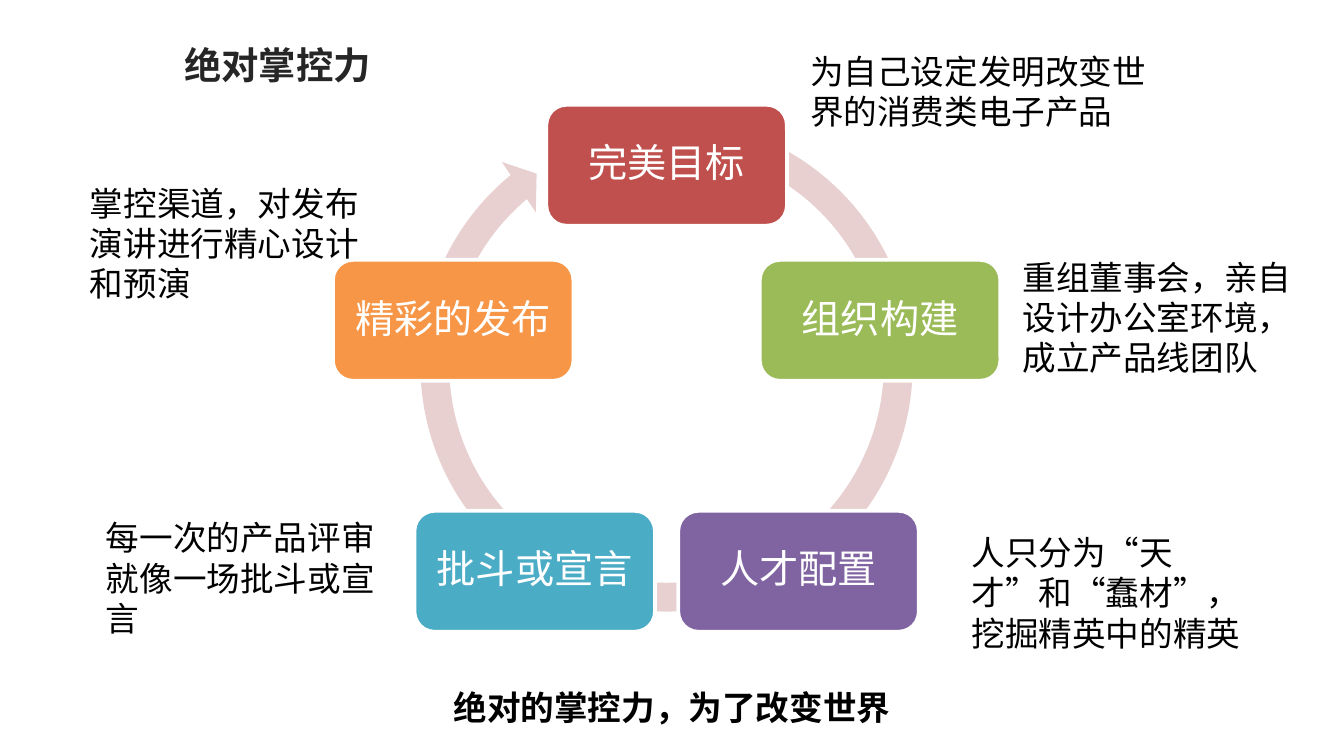
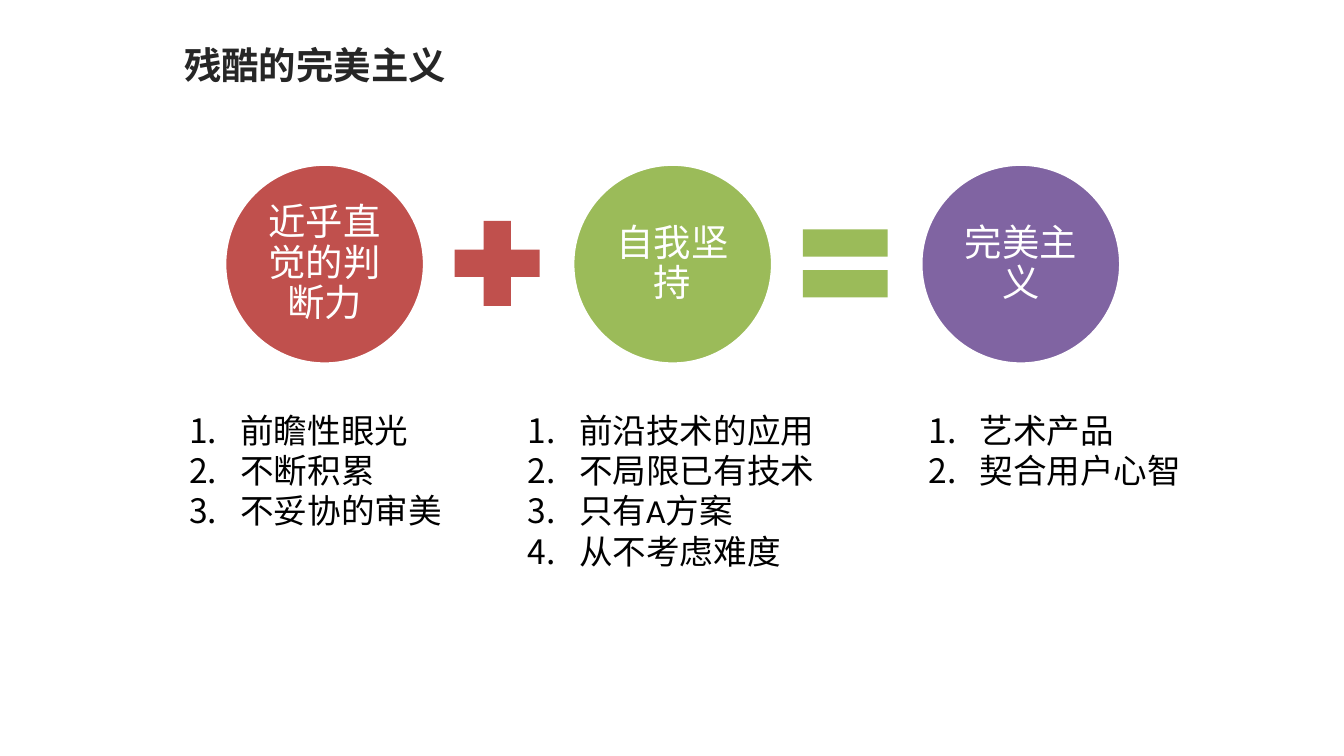
from math import cos, radians, sin

from lxml.etree import SubElement
from pptx import Presentation
from pptx.dml.color import RGBColor
from pptx.enum.shapes import MSO_SHAPE
from pptx.enum.text import MSO_ANCHOR, MSO_AUTO_SIZE, PP_ALIGN
from pptx.oxml.ns import qn
from pptx.util import Inches, Pt

COLORS = {
    "red": "C0504D",
    "green": "9BBB59",
    "purple": "8064A2",
    "blue": "4BACC6",
    "orange": "F79646",
    "ring": "E8D0D0",
    "title": "262626",
    "black": "000000",
    "white": "FFFFFF",
}
BODY_FONT = "Calibri"
HEADING_FONT = "Noto Sans CJK SC"


def add_text(shape, lines, size, color="black", bold=False, centered=False,
             numbered=False, insets=(0.1, 0.05), wrap=True):
    frame = shape.text_frame
    frame.word_wrap = wrap
    frame.margin_left = frame.margin_right = Inches(insets[0])
    frame.margin_top = frame.margin_bottom = Inches(insets[1])
    for index, line in enumerate(lines):
        paragraph = frame.paragraphs[0] if index == 0 else frame.add_paragraph()
        paragraph.alignment = PP_ALIGN.CENTER if centered else PP_ALIGN.LEFT
        if numbered:
            properties = paragraph._p.get_or_add_pPr()
            properties.set("marL", str(Inches(0.38)))
            properties.set("indent", str(Inches(-0.38)))
            SubElement(properties, qn("a:buFont"), typeface="+mj-lt")
            SubElement(properties, qn("a:buAutoNum"), type="arabicPeriod")
        run = paragraph.add_run()
        run.text = line
        run.font.size = Pt(size)
        run.font.bold = bold
        run.font.color.rgb = RGBColor.from_string(COLORS[color])
        run.font.name = HEADING_FONT if bold else BODY_FONT
        SubElement(run._r.get_or_add_rPr(), qn("a:ea"), typeface=HEADING_FONT)
    return frame


def add_filled_shape(slide, kind, left, top, width, height, color, label=None,
                     size=20, inset=0.03):
    shape = slide.shapes.add_shape(
        kind, Inches(left), Inches(top), Inches(width), Inches(height))
    shape.shadow.inherit = False
    shape.fill.solid()
    shape.fill.fore_color.rgb = RGBColor.from_string(COLORS[color])
    if label is None:
        shape.line.fill.background()
        return shape
    shape.line.color.rgb = RGBColor.from_string(COLORS["white"])
    shape.line.width = Pt(2)
    frame = add_text(shape, [label], size, "white", centered=True, insets=(inset, inset))
    frame.vertical_anchor = MSO_ANCHOR.MIDDLE
    frame.paragraphs[0].line_spacing = 0.9
    return shape


presentation = Presentation()
presentation.slide_width = Inches(10)
presentation.slide_height = presentation.slide_width * 9 // 16

slides = []
for title, width in [("绝对掌控力", 1.55), ("残酷的完美主义", 2.11)]:
    slide = presentation.slides.add_slide(presentation.slide_layouts[6])
    box = slide.shapes.add_textbox(Inches(1.3), Inches(0.27), Inches(width), Inches(0.41))
    frame = add_text(box, [title], 20, "title", bold=True, insets=(0.07, 0.04), wrap=False)
    frame.auto_size = MSO_AUTO_SIZE.SHAPE_TO_FIT_TEXT
    slides.append(slide)
control_slide, perfection_slide = slides

ring = add_filled_shape(
    control_slide, MSO_SHAPE.CIRCULAR_ARROW, 3.01, 0.77, 3.9, 3.9, "ring")
for index, value in enumerate([0.055, 3.307, 138.222, 173.579, 0.058]):
    ring.adjustments[index] = value

center_x, center_y, radius = 4.96, 2.9, 1.67
step_width, step_height = 1.79, 0.9
steps = [
    ("完美目标", "red", "为自己设定发明改变世界的消费类电子产品", 5.93, 0.33, 2.86, 0.71),
    ("组织构建", "green", "重组董事会，亲自设计办公室环境，成立产品线团队", 7.51, 1.86, 2.28, 1.01),
    ("人才配置", "purple", "人只分为“天才”和“蠢材”，挖掘精英中的精英", 7.13, 3.91, 2.28, 1.01),
    ("批斗或宣言", "blue", "每一次的产品评审就像一场批斗或宣言", 0.69, 3.8, 2.28, 1.01),
    ("精彩的发布", "orange", "掌控渠道，对发布演讲进行精心设计和预演", 0.57, 1.31, 2.28, 1.01),
]
for index, (label, color, note, left, top, width, height) in enumerate(steps):
    angle = radians(index * 360 / len(steps))
    add_filled_shape(
        control_slide, MSO_SHAPE.ROUNDED_RECTANGLE,
        center_x + radius * sin(angle) - step_width / 2,
        center_y - radius * cos(angle) - step_height / 2,
        step_width, step_height, color, label, size=21, inset=0.09)
    box = control_slide.shapes.add_textbox(
        Inches(left), Inches(top), Inches(width), Inches(height))
    add_text(box, [note], 18)

box = control_slide.shapes.add_textbox(Inches(3.08), Inches(5.06), Inches(3.84), Inches(0.4))
add_text(box, ["绝对的掌控力，为了改变世界"], 18, bold=True, centered=True)

circle_size, sign_size, pitch = 1.49, 0.86, 2.59
factors = [
    ("近乎直觉的判断力", "red", MSO_SHAPE.MATH_PLUS, 1.31, 2.1,
     ["前瞻性眼光", "不断积累", "不妥协的审美"]),
    ("自我坚持", "green", MSO_SHAPE.MATH_EQUAL, 3.83, 2.35,
     ["前沿技术的应用", "不局限已有技术", "只有A方案", "从不考虑难度"]),
    ("完美主义", "purple", None, 6.81, 2.1,
     ["艺术产品", "契合用户心智"]),
]
for index, (label, color, sign, list_left, list_width, points) in enumerate(factors):
    left = 1.67 + index * pitch
    add_filled_shape(
        perfection_slide, MSO_SHAPE.OVAL, left, 1.22, circle_size, circle_size, color, label)
    if sign is not None:
        add_filled_shape(
            perfection_slide, sign, left + 1.6, 1.53, sign_size, sign_size, color)
    box = perfection_slide.shapes.add_textbox(
        Inches(list_left), Inches(3), Inches(list_width), Inches(0.1 + 0.3 * len(points)))
    frame = add_text(box, points, 18, numbered=True, wrap=False)
    frame.auto_size = MSO_AUTO_SIZE.SHAPE_TO_FIT_TEXT

presentation.save("out.pptx")
